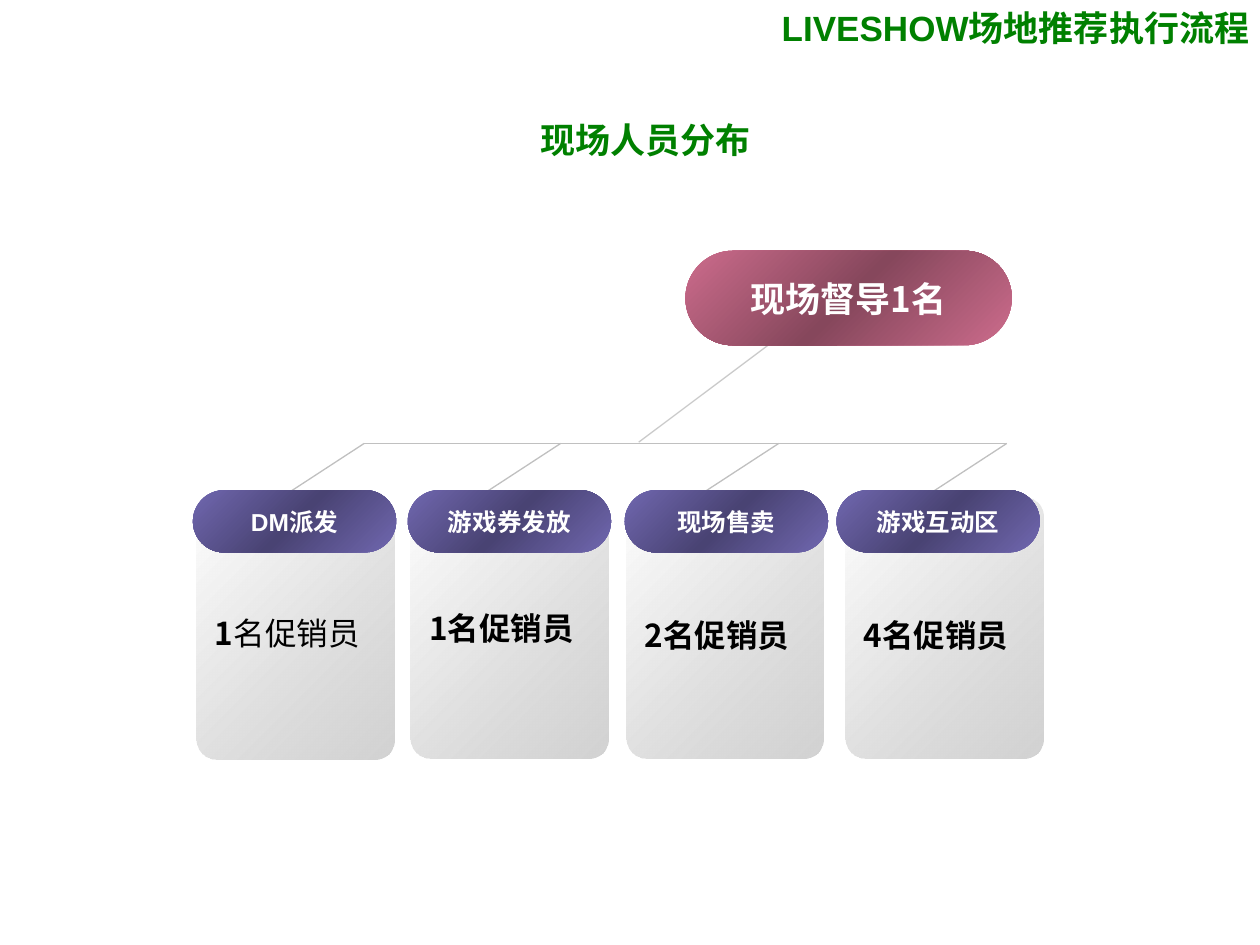
from pptx import Presentation
from pptx.dml.color import RGBColor
from pptx.enum import shapes, text
from pptx.oxml import parse_xml
from pptx.oxml.ns import nsdecls, qn
from pptx.util import Pt
from lxml import etree

THEME = {
    "latin": "Arial", "cjk": "Noto Sans CJK SC",
    "green": "008000", "white": "FFFFFF", "black": "000000",
    "bar": "C0C0C0", "trunk": "969696",
    "heading": 20, "card": 18, "role": 14,
    "supervisor_fill": [(0, "CC6C8C", 100), (50, "86475C", 100), (100, "CC6C8C", 100)],
    "role_fill": [(0, "7067AF", 100), (50, "494373", 100), (100, "7067AF", 100)],
    "card_fill": [(0, "C0C0C0", 70), (100, "FFFFFF", 100)],
}

TITLE = "LIVESHOW场地推荐执行流程"
SUBTITLE = "现场人员分布"
SUPERVISOR = "现场督导1名"
ROLES = [
    {"name": "DM派发", "staff": [("1", True), ("名促销员", False)],
     "pill": 110.2, "card": (112.3, 284.4), "joint": 208.1, "spacing": 1.2, "drop": 0},
    {"name": "游戏券发放", "staff": [("1名促销员", True)],
     "pill": 233, "card": (234.7, 283.7), "joint": 320.4, "spacing": 1, "drop": 0},
    {"name": "现场售卖", "staff": [("2名促销员", True)],
     "pill": 357, "card": (357.8, 283.7), "joint": 445, "spacing": 1.2, "drop": 4},
    {"name": "游戏互动区", "staff": [("4名促销员", True)],
     "pill": 478, "card": (483.1, 283.7), "joint": 575.3, "spacing": 1.2, "drop": 4},
]

CARD_SIZE = (113, 149.8)
PILL_SIZE = (116.2, 35.6)
PILL_TOP = 280.1
BAR_Y = 253.4
BRANCH = (47.5, 31)


def write(shape, runs, size, color, font=THEME["latin"], align=text.PP_ALIGN.CENTER,
          anchor=text.MSO_ANCHOR.MIDDLE, wrap=False, spacing=1, side=7.2, top=3.6):
    frame = shape.text_frame
    frame.auto_size = text.MSO_AUTO_SIZE.NONE
    frame.word_wrap = wrap
    frame.vertical_anchor = anchor
    frame.margin_left = frame.margin_right = Pt(side)
    frame.margin_top, frame.margin_bottom = Pt(top), Pt(3.6)
    paragraph = frame.paragraphs[0]
    paragraph.alignment = align
    paragraph.line_spacing = spacing
    for content, bold in [(runs, True)] if isinstance(runs, str) else runs:
        run = paragraph.add_run()
        run.text = content
        run.font.size = Pt(size)
        run.font.bold = bold
        run.font.color.rgb = RGBColor.from_string(color)
        run.font.name = font
        east_asian = etree.SubElement(run.font._element, qn("a:ea"))
        east_asian.set("typeface", THEME["cjk"])


def add_rounded(slide, box, radius, stops):
    shape = slide.shapes.add_shape(shapes.MSO_SHAPE.ROUNDED_RECTANGLE, *map(Pt, box))
    shape.adjustments[0] = radius
    shape.shadow.inherit = False
    shape.line.fill.background()
    shape.fill.gradient()
    shape.fill.gradient_angle = 135
    stop_xml = "".join(
        f'<a:gs pos="{position * 1000}"><a:srgbClr val="{color}">'
        f'<a:alpha val="{alpha * 1000}"/></a:srgbClr></a:gs>'
        for position, color, alpha in stops)
    old_stops = shape._element.spPr.find(qn("a:gradFill")).find(qn("a:gsLst"))
    old_stops.getparent().replace(
        old_stops, parse_xml(f'<a:gsLst {nsdecls("a")}>{stop_xml}</a:gsLst>'))
    return shape


def add_line(slide, start, end, color, alpha=100):
    line = slide.shapes.add_connector(
        shapes.MSO_CONNECTOR.STRAIGHT, *map(Pt, (*start, *end)))
    line.line.width = Pt(0.75)
    line.line.color.rgb = RGBColor.from_string(color)
    properties = line._element.spPr
    if alpha < 100:
        color_element = properties.find(".//" + qn("a:srgbClr"))
        etree.SubElement(color_element, qn("a:alpha")).set("val", str(alpha * 1000))
    etree.SubElement(properties, qn("a:effectLst"))


def add_headings(slide):
    title = slide.shapes.title
    title.left, title.top, title.width, title.height = map(Pt, (438.5, 0, 283.7, 31.7))
    subtitle = slide.shapes.add_textbox(*map(Pt, (301.7, 64.1, 134.6, 31.7)))
    for shape, content in [(title, TITLE), (subtitle, SUBTITLE)]:
        write(shape, content, THEME["heading"], THEME["green"],
              anchor=text.MSO_ANCHOR.TOP, side=0)


def add_staff_tree(slide):
    add_line(slide, (365, 252.7), (488.9, 159.8), THEME["trunk"], alpha=50)
    add_line(slide, (ROLES[0]["joint"], BAR_Y), (ROLES[-1]["joint"], BAR_Y), THEME["bar"])
    supervisor = add_rounded(slide, (391.7, 143.3, 186.5, 54), 0.5, THEME["supervisor_fill"])
    write(supervisor, SUPERVISOR, THEME["heading"], THEME["white"], font=THEME["cjk"])
    for role in ROLES:
        foot = (role["joint"] - BRANCH[0], BAR_Y + BRANCH[1])
        add_line(slide, foot, (role["joint"], BAR_Y), THEME["bar"])
        card = add_rounded(slide, (*role["card"], *CARD_SIZE), 0.105, THEME["card_fill"])
        write(card, role["staff"], THEME["card"], THEME["black"], font=THEME["cjk"],
              align=text.PP_ALIGN.LEFT, wrap=True, spacing=role["spacing"],
              top=3.6 + role["drop"])
        pill = add_rounded(slide, (role["pill"], PILL_TOP, *PILL_SIZE), 0.5, THEME["role_fill"])
        write(pill, role["name"], THEME["role"], THEME["white"])


def main():
    presentation = Presentation()
    presentation.slide_width, presentation.slide_height = Pt(720), Pt(540)
    slide = presentation.slides.add_slide(presentation.slide_layouts[5])
    add_headings(slide)
    add_staff_tree(slide)
    presentation.save("out.pptx")


if __name__ == "__main__":
    main()
